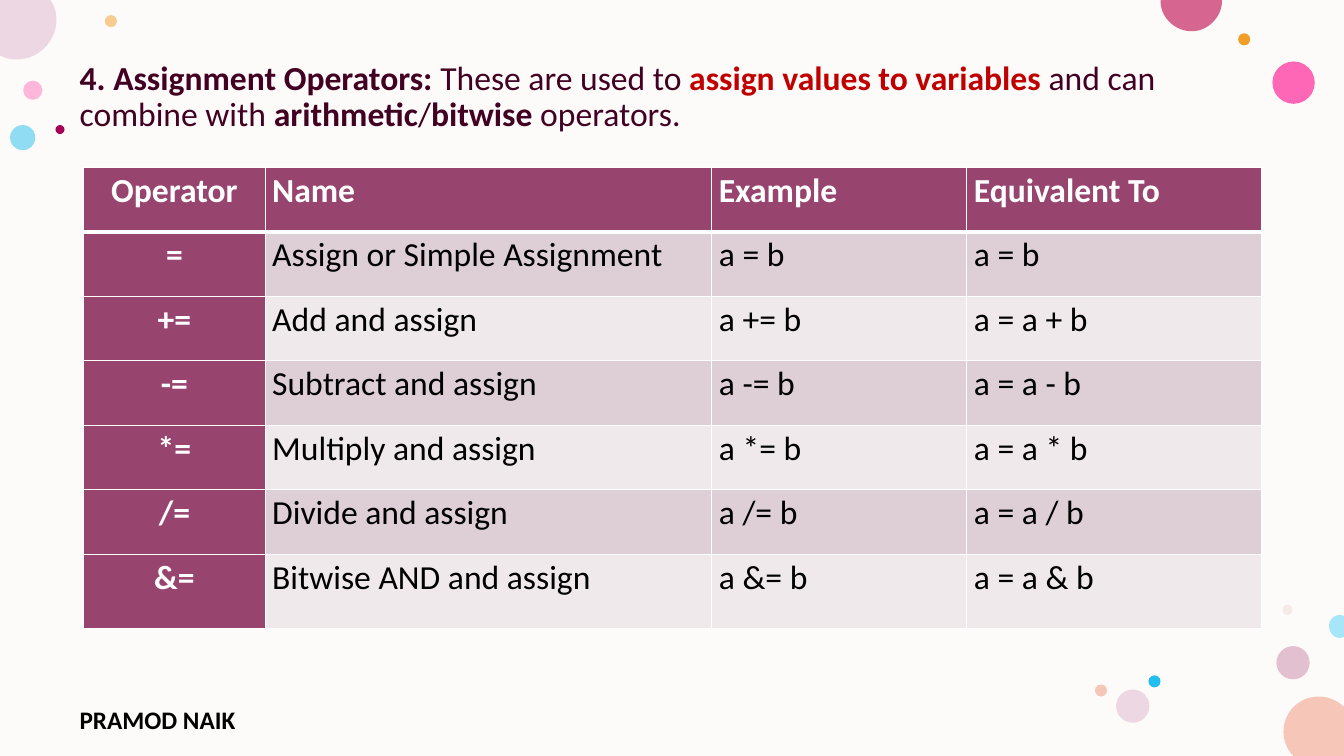
import lxml.etree
import pptx
import pptx.util
import pptx.dml.color
import pptx.enum.shapes
import pptx.enum.text
import pptx.oxml.ns

Inches = pptx.util.Inches
Pt = pptx.util.Pt
RGBColor = pptx.dml.color.RGBColor
ALIGN = pptx.enum.text.PP_ALIGN
SHAPE = pptx.enum.shapes.MSO_SHAPE
qn = pptx.oxml.ns.qn

WHITE = RGBColor(0xFF, 0xFF, 0xFF)
BLACK = RGBColor(0x00, 0x00, 0x00)
CREAM = RGBColor(0xFD, 0xFB, 0xF9)
WINE = RGBColor(0x42, 0x00, 0x23)
RED = RGBColor(0xC0, 0x00, 0x00)
PLUM = RGBColor(0x97, 0x44, 0x6E)
DARK = RGBColor(0xDD, 0xCF, 0xD5)
LIGHT = RGBColor(0xEF, 0xE9, 0xEB)
CANDY = RGBColor(0xFF, 0x75, 0xBD)
PINK = RGBColor(0xFF, 0x2F, 0x9C)
AMBER = RGBColor(0xF3, 0x9E, 0x29)
MAUVE = RGBColor(0xC9, 0x87, 0xA8)
BLUE = RGBColor(0x24, 0xBE, 0xEE)
BLUSH = RGBColor(0xE3, 0xBE, 0xBE)
LILAC = RGBColor(0xED, 0xD7, 0xE2)
PEACH = RGBColor(0xF6, 0xC7, 0xB9)
ROSE = RGBColor(0xD6, 0x65, 0x8F)
BERRY = RGBColor(0xA4, 0x00, 0x56)
SKY = RGBColor(0xA7, 0xE5, 0xF8)


def write(frame, runs, size=24, align=ALIGN.LEFT, line=1.0, after=0):
    frame.word_wrap = True
    para = frame.paragraphs[0]
    para.alignment = align
    para.line_spacing = line
    para.space_before = Pt(0)
    para.space_after = Pt(after)
    for text, color, bold in runs:
        run = para.add_run()
        run.text = text
        run.font.name = "Calibri"
        run.font.size = Pt(size)
        run.font.color.rgb = color
        run.font.bold = bold


def paint(shape, color, alpha=100):
    shape.shadow.inherit = False
    shape.fill.solid()
    shape.fill.fore_color.rgb = color
    shape.line.fill.background()
    if alpha < 100:
        tint = shape.element.spPr.find(qn("a:solidFill")).find(qn("a:srgbClr"))
        lxml.etree.SubElement(tint, qn("a:alpha")).set("val", str(alpha * 1000))


deck = pptx.Presentation()
deck.slide_width = Inches(13.33)
deck.slide_height = Inches(7.5)
slide = deck.slides.add_slide(deck.slide_layouts[1])
title = slide.shapes.title.element
title.getparent().remove(title)

back = slide.shapes.add_shape(SHAPE.RECTANGLE, 0, 0, deck.slide_width, deck.slide_height)
paint(back, CREAM)

dots = [
    (0.23, 0.8, 0.19, CANDY, 50),
    (1.04, 0.15, 0.12, AMBER, 50),
    (12.66, 6.41, 0.33, MAUVE, 50),
    (0.1, 1.24, 0.25, BLUE, 50),
    (12.62, 0.61, 0.42, PINK, 72),
    (12.28, 0.33, 0.12, AMBER, 100),
    (12.72, 6, 0.1, BLUSH, 28),
    (11.39, 6.7, 0.12, BLUE, 100),
    (11.07, 6.84, 0.33, LILAC, 100),
    (10.86, 6.79, 0.12, PEACH, 100),
    (0.55, 1.24, 0.09, BERRY, 100),
]
for left, top, size, color, alpha in dots:
    dot = slide.shapes.add_shape(
        SHAPE.OVAL, Inches(left), Inches(top), Inches(size), Inches(size))
    paint(dot, color, alpha)

edges = [
    (PEACH, "CLLLLCC", [
        (13.08, 6.91), (13.18, 6.91), (13.26, 6.95), (13.33, 7.01),
        (13.33, 7.02), (13.33, 7.5), (12.83, 7.5), (12.81, 7.48),
        (12.76, 7.42), (12.73, 7.34), (12.73, 7.26),
        (12.73, 7.06), (12.89, 6.91), (13.08, 6.91)]),
    (LILAC, "LLCCCL", [
        (0, 0), (0.5, 0), (0.53, 0.05),
        (0.55, 0.09), (0.56, 0.14), (0.56, 0.2),
        (0.56, 0.41), (0.38, 0.59), (0.17, 0.59),
        (0.11, 0.59), (0.06, 0.58), (0.02, 0.56), (0, 0.55)]),
    (ROSE, "LLCC", [
        (11.52, 0), (12.12, 0), (12.12, 0.01),
        (12.12, 0.17), (11.98, 0.31), (11.82, 0.31),
        (11.65, 0.31), (11.51, 0.17), (11.51, 0.01)]),
    (SKY, "LLLCC", [
        (13.29, 6.1), (13.33, 6.11), (13.33, 6.32), (13.29, 6.33),
        (13.23, 6.33), (13.18, 6.28), (13.18, 6.21),
        (13.18, 6.15), (13.23, 6.1), (13.29, 6.1)]),
]
for color, kinds, points in edges:
    spots = [(Inches(x), Inches(y)) for x, y in points]
    build = slide.shapes.build_freeform(*spots[0])
    build.add_line_segments(spots[1:], close=True)
    edge = build.convert_to_shape()
    paint(edge, color)
    steps = iter(list(edge.element.iter(qn("a:lnTo"))))
    for kind in kinds:
        step = next(steps)
        if kind == "C":
            curve = lxml.etree.Element(qn("a:cubicBezTo"))
            step.addprevious(curve)
            for part in (step, next(steps), next(steps)):
                curve.append(part[0])
                part.getparent().remove(part)

owner = slide.shapes.add_textbox(Inches(0.69), Inches(6.94), Inches(2.45), Inches(0.32))
write(owner.text_frame, [("PRAMOD NAIK", BLACK, True)], size=18)

body = slide.placeholders[1]
owner.element.addnext(body.element)
body.left, body.top = Inches(0.69), Inches(0.56)
body.width, body.height = Inches(11.81), Inches(6.18)
body.text_frame.auto_size = pptx.enum.text.MSO_AUTO_SIZE.NONE
props = body.text_frame.paragraphs[0]._p.get_or_add_pPr()
props.set("marL", "0")
props.set("indent", "0")
lxml.etree.SubElement(props, qn("a:buNone"))
write(body.text_frame, [
    ("4. Assignment Operators: ", WINE, True),
    ("These are used to ", WINE, False),
    ("assign values to variables ", RED, True),
    ("and can combine with ", WINE, False),
    ("arithmetic", WINE, True),
    ("/", WINE, False),
    ("bitwise", WINE, True),
    (" operators.", WINE, False),
], line=0.9)

rows = [
    ("Operator", "Name", "Example", "Equivalent To"),
    ("=", "Assign or Simple Assignment", "a = b", "a = b"),
    ("+=", "Add and assign", "a += b", "a = a + b"),
    ("-=", "Subtract and assign", "a -= b", "a = a - b"),
    ("*=", "Multiply and assign", "a *= b", "a = a * b"),
    ("/=", "Divide and assign", "a /= b", "a = a / b"),
    ("&=", "Bitwise AND and assign", "a &= b", "a = a & b"),
]
widths = [1.8, 4.43, 2.53, 2.92]
heights = [0.64] * 6 + [0.74]
table = slide.shapes.add_table(
    len(rows), len(widths), Inches(0.83), Inches(1.66),
    Inches(sum(widths)), Inches(sum(heights))).table
for col, width in zip(table.columns, widths):
    col.width = Inches(width)
for row, height in zip(table.rows, heights):
    row.height = Inches(height)

for r, texts in enumerate(rows):
    for c, text in enumerate(texts):
        cell = table.cell(r, c)
        cell.margin_left = cell.margin_right = Inches(0.07)
        cell.margin_top = cell.margin_bottom = 0
        head = r == 0 or c == 0
        write(cell.text_frame, [(text, WHITE if head else BLACK, head)],
              align=ALIGN.LEFT if c else ALIGN.CENTER, line=1.07, after=8)
        for side in ("L", "R", "T", "B"):
            thick = (r, side) in ((0, "B"), (1, "T"))
            border = lxml.etree.SubElement(cell._tc.get_or_add_tcPr(), qn("a:ln" + side))
            border.set("w", str(Pt(3 if thick else 1)))
            fill = lxml.etree.SubElement(border, qn("a:solidFill"))
            lxml.etree.SubElement(fill, qn("a:srgbClr")).set("val", str(WHITE))
        cell.fill.solid()
        cell.fill.fore_color.rgb = PLUM if head else DARK if r % 2 else LIGHT

deck.save("out.pptx")
